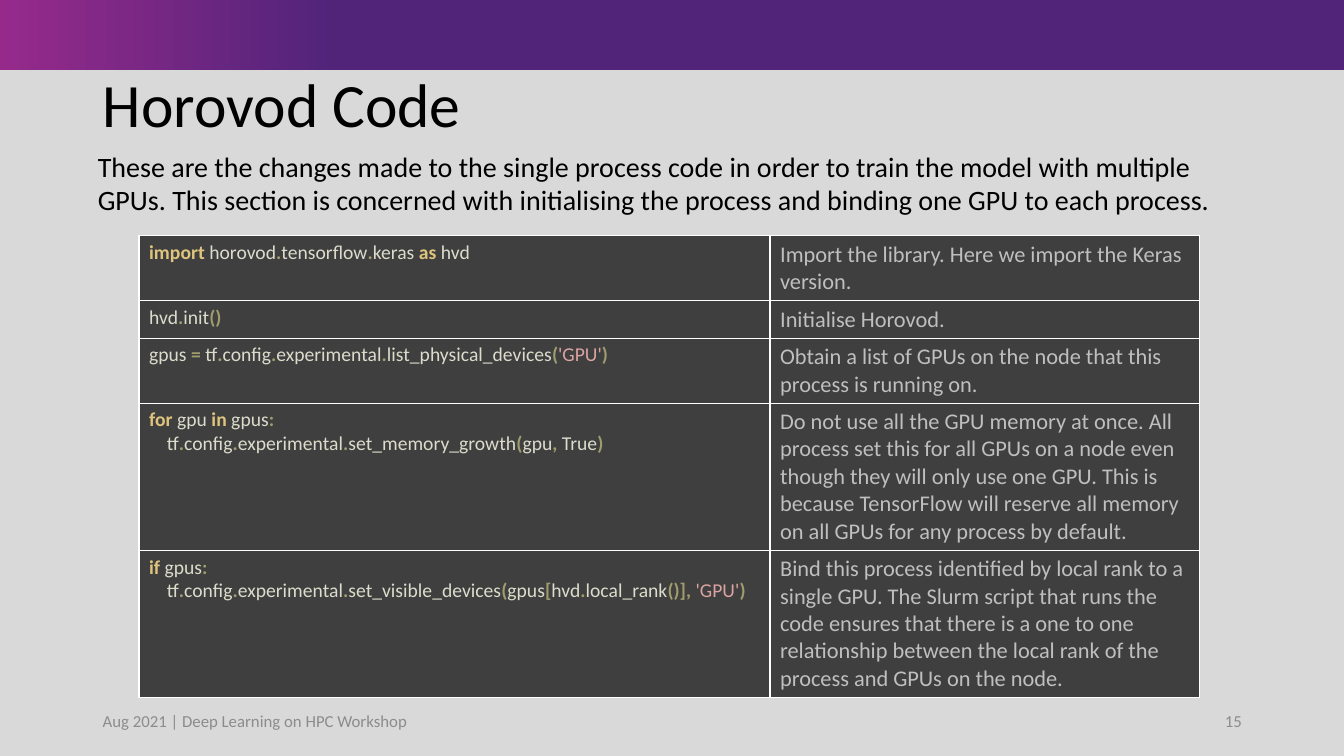
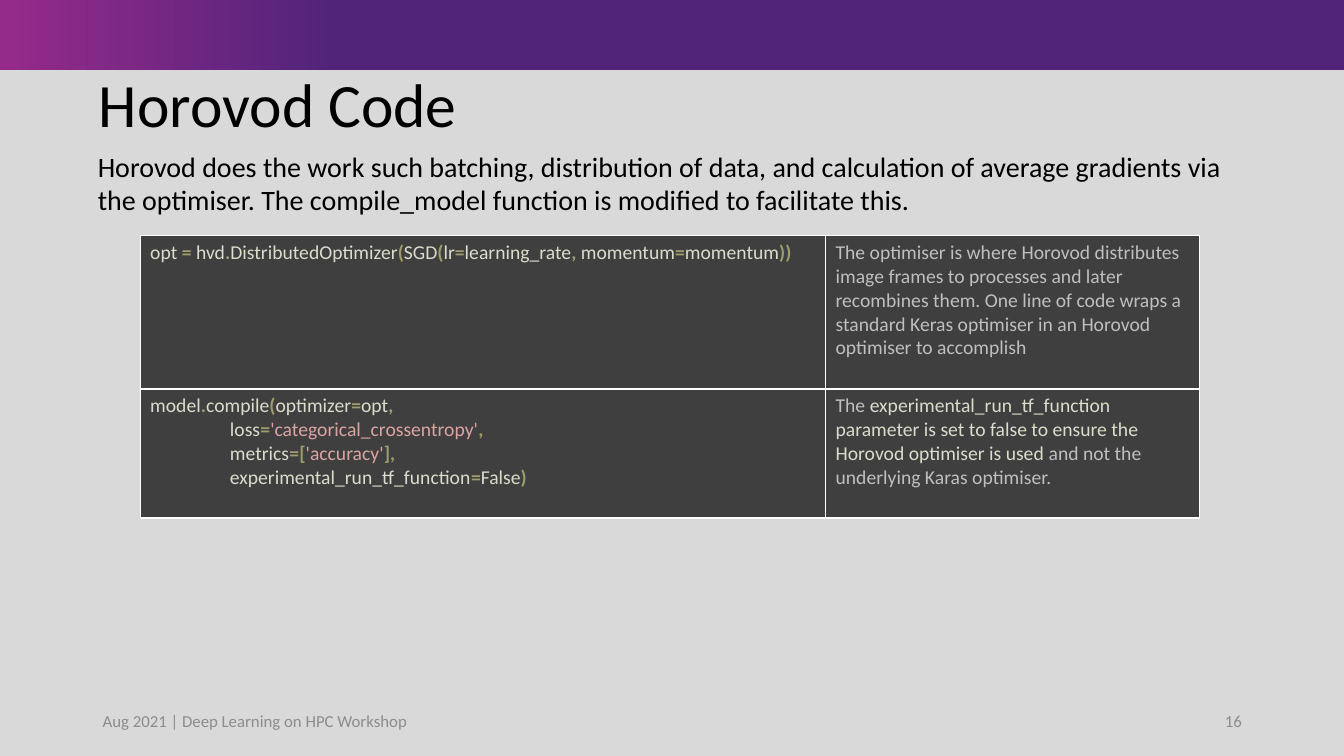
from itertools import groupby

from lxml import etree
from pptx import Presentation
from pptx.dml.color import RGBColor
from pptx.enum.shapes import MSO_SHAPE
from pptx.enum.text import MSO_ANCHOR, MSO_AUTO_SIZE, PP_ALIGN
from pptx.oxml.ns import qn
from pptx.util import Inches, Pt

RECTANGLE = MSO_SHAPE.RECTANGLE
TOP, MIDDLE = MSO_ANCHOR.TOP, MSO_ANCHOR.MIDDLE
LEFT, RIGHT = PP_ALIGN.LEFT, PP_ALIGN.RIGHT
NO_AUTOFIT = MSO_AUTO_SIZE.NONE

FONT = "Calibri"
BACKGROUND = RGBColor(0xD9, 0xD9, 0xD9)
PURPLE = RGBColor(0x51, 0x24, 0x7A)
MAGENTA = RGBColor(0x96, 0x2A, 0x8B)
BLACK = RGBColor(0, 0, 0)
WHITE = RGBColor(0xFF, 0xFF, 0xFF)
FOOTER_GREY = RGBColor(0x8C, 0x8C, 0x8C)
CELL_FILL = RGBColor(0x3F, 0x3F, 0x3F)
NOTE_GREY = RGBColor(0xBF, 0xBF, 0xBF)
CODE_PLAIN = RGBColor(0xDC, 0xDC, 0xCC)
CODE_OPERATOR = RGBColor(0x9F, 0x9D, 0x6D)
CODE_KEYWORD = RGBColor(0xDF, 0xC4, 0x7D)
CODE_STRING = RGBColor(0xDC, 0xA3, 0xA3)

KEYWORDS = {"import", "as", "for", "in", "if"}
OPERATORS = ".,:=()[]"
SLIDE_HEIGHT = 7.5
SLIDE_WIDTH = SLIDE_HEIGHT * 16 / 9
BAND_HEIGHT = 0.69
TITLE_HEIGHT = 0.76
BODY_BOX = (0.87, 1.43, 11.72, 0.91)
FOOTER_BOX = (0.92, 6.95, 3.33, 0.4)
NUMBER_BOX = (9.42, 6.95, 3, 0.4)
FOOTER = "Aug 2021 | Deep Learning on HPC Workshop"

SLIDES = [
    {
        "title": "Horovod Code",
        "title_left": 0.92,
        "body": "These are the changes made to the single process code in order to train "
                "the model with multiple GPUs. This section is concerned with initialising "
                "the process and binding one GPU to each process.",
        "number": 15,
        "origin": (1.38, 2.34),
        "columns": (6.26, 4.26),
        "row_heights": (0.64, 0.37, 0.64, 1.46, 1.46),
        "note_size": 16,
        "rows": [
            ("import horovod.tensorflow.keras as hvd",
             [("Import the library. Here we import the Keras version.", NOTE_GREY)]),
            ("hvd.init()",
             [("Initialise Horovod.", NOTE_GREY)]),
            ("gpus = tf.config.experimental.list_physical_devices('GPU')",
             [("Obtain a list of GPUs on the node that this process is running on.",
               NOTE_GREY)]),
            ("for gpu in gpus:\n"
             "    tf.config.experimental.set_memory_growth(gpu, True)",
             [("Do not use all the GPU memory at once. All process set this for all GPUs "
               "on a node even though they will only use one GPU. This is because "
               "TensorFlow will reserve all memory on all GPUs for any process by "
               "default.", NOTE_GREY)]),
            ("if gpus:\n"
             "    tf.config.experimental.set_visible_devices(gpus[hvd.local_rank()], 'GPU')",
             [("Bind this process identified by local rank to a single GPU. The Slurm "
               "script that runs the code ensures that there is a one to one relationship "
               "between the local rank of the process and GPUs on the node.", NOTE_GREY)]),
        ],
    },
    {
        "title": "Horovod Code",
        "title_left": 0.88,
        "body": "Horovod does the work such batching, distribution of data, and calculation "
                "of average gradients via the optimiser. The compile_model function is "
                "modified to facilitate this.",
        "number": 16,
        "origin": (1.39, 2.34),
        "columns": (6.8, 3.71),
        "row_heights": (1.52, 1.28),
        "note_size": 14,
        "rows": [
            ("opt = hvd.DistributedOptimizer(SGD(lr=learning_rate, momentum=momentum))",
             [("The optimiser is where Horovod distributes image frames to processes and "
               "later recombines them. One line of code wraps a standard Keras optimiser "
               "in an Horovod optimiser to accomplish", NOTE_GREY)]),
            ("model.compile(optimizer=opt,\n"
             "                  loss='categorical_crossentropy',\n"
             "                  metrics=['accuracy'],\n"
             "                  experimental_run_tf_function=False)",
             [("The ", NOTE_GREY),
              ("experimental_run_tf_function parameter is set to false to ensure the "
               "Horovod optimiser is used", CODE_PLAIN),
              (" and not the underlying Karas optimiser.", NOTE_GREY)]),
        ],
    },
]


def place(shape, left, top, width, height):
    shape.left, shape.top = Inches(left), Inches(top)
    shape.width, shape.height = Inches(width), Inches(height)


def style_font(font, size, color, bold=False):
    font.name = FONT
    font.size = Pt(size)
    font.bold = bold
    font.color.rgb = color


def set_text(shape, text, size, color, anchor=TOP, alignment=LEFT):
    """Fill a shape with one formatted paragraph and return it."""
    frame = shape.text_frame
    frame.word_wrap = True
    frame.auto_size = NO_AUTOFIT
    frame.vertical_anchor = anchor
    frame.text = text
    paragraph = frame.paragraphs[0]
    paragraph.alignment = alignment
    paragraph.space_before = Pt(0)
    style_font(paragraph.runs[0].font, size, color)
    return paragraph


def add_band(slide):
    """Draw the gradient band along the top edge."""
    band = slide.shapes.add_shape(
        RECTANGLE, 0, 0, Inches(SLIDE_WIDTH), Inches(BAND_HEIGHT))
    band.shadow.inherit = False
    band.line.fill.background()
    band.fill.gradient()
    band.fill.gradient_angle = 0
    for stop, position, color in zip(
            band.fill.gradient_stops, (0, 0.25), (MAGENTA, PURPLE)):
        stop.position = position
        stop.color.rgb = color


def add_heading(slide, title, left, body):
    title_shape, body_shape = slide.placeholders
    place(title_shape, left, BAND_HEIGHT, 11.5, TITLE_HEIGHT)
    set_text(title_shape, title, 44, BLACK, MIDDLE).line_spacing = 0.9
    place(body_shape, *BODY_BOX)
    paragraph = set_text(body_shape, body, 20, BLACK)
    properties = paragraph._p.get_or_add_pPr()
    properties.set("marL", "0")
    properties.set("indent", "0")
    etree.SubElement(properties, qn("a:buNone"))


def add_footer(slide, number):
    for box, text, alignment in ((FOOTER_BOX, FOOTER, LEFT),
                                 (NUMBER_BOX, str(number), RIGHT)):
        shape = slide.shapes.add_textbox(*map(Inches, box))
        set_text(shape, text, 12, FOOTER_GREY, MIDDLE, alignment)


def character_class(character):
    if character in OPERATORS:
        return "operator"
    return "space" if character == " " else "word"


def code_tokens(line):
    """Yield (text, color, bold) for each token of a code line."""
    for index, part in enumerate(line.split("'")):
        if index % 2:
            yield f"'{part}'", CODE_STRING, False
            continue
        for kind, characters in groupby(part, character_class):
            token = "".join(characters)
            if kind == "operator":
                yield token, CODE_OPERATOR, True
            elif token in KEYWORDS:
                yield token, CODE_KEYWORD, True
            else:
                yield token, CODE_PLAIN, False


def add_runs(paragraph, tokens, size):
    for text, color, bold in tokens:
        run = paragraph.add_run()
        run.text = text
        style_font(run.font, size, color, bold)


def style_cell(cell):
    """Give a cell thin white borders and the dark fill."""
    properties = cell._tc.get_or_add_tcPr()
    for side in ("a:lnL", "a:lnR", "a:lnT", "a:lnB"):
        line = etree.SubElement(properties, qn(side), w=str(Pt(1)))
        fill = etree.SubElement(line, qn("a:solidFill"))
        etree.SubElement(fill, qn("a:srgbClr"), val=str(WHITE))
    cell.fill.solid()
    cell.fill.fore_color.rgb = CELL_FILL


def add_code_table(slide, origin, columns, row_heights, rows, note_size):
    left, top = origin
    table = slide.shapes.add_table(
        len(rows), len(columns), Inches(left), Inches(top),
        Inches(sum(columns)), Inches(sum(row_heights))).table
    table.first_row = table.horz_banding = False
    for column, width in zip(table.columns, columns):
        column.width = Inches(width)
    for row, height, (code, note) in zip(table.rows, row_heights, rows):
        row.height = Inches(height)
        code_cell, note_cell = row.cells
        style_cell(code_cell)
        style_cell(note_cell)
        frame = code_cell.text_frame
        for index, line in enumerate(code.split("\n")):
            paragraph = frame.add_paragraph() if index else frame.paragraphs[0]
            add_runs(paragraph, code_tokens(line), 14)
        add_runs(note_cell.text_frame.paragraphs[0],
                 [(text, color, False) for text, color in note], note_size)


def add_code_slide(presentation, content):
    slide = presentation.slides.add_slide(presentation.slide_layouts[1])
    add_band(slide)
    add_heading(slide, content["title"], content["title_left"], content["body"])
    add_code_table(slide, content["origin"], content["columns"],
                   content["row_heights"], content["rows"], content["note_size"])
    add_footer(slide, content["number"])


def main():
    presentation = Presentation()
    presentation.slide_width = Inches(SLIDE_WIDTH)
    presentation.slide_height = Inches(SLIDE_HEIGHT)
    background = presentation.slide_master.background.fill
    background.solid()
    background.fore_color.rgb = BACKGROUND
    for content in SLIDES:
        add_code_slide(presentation, content)
    presentation.save("out.pptx")


if __name__ == "__main__":
    main()
